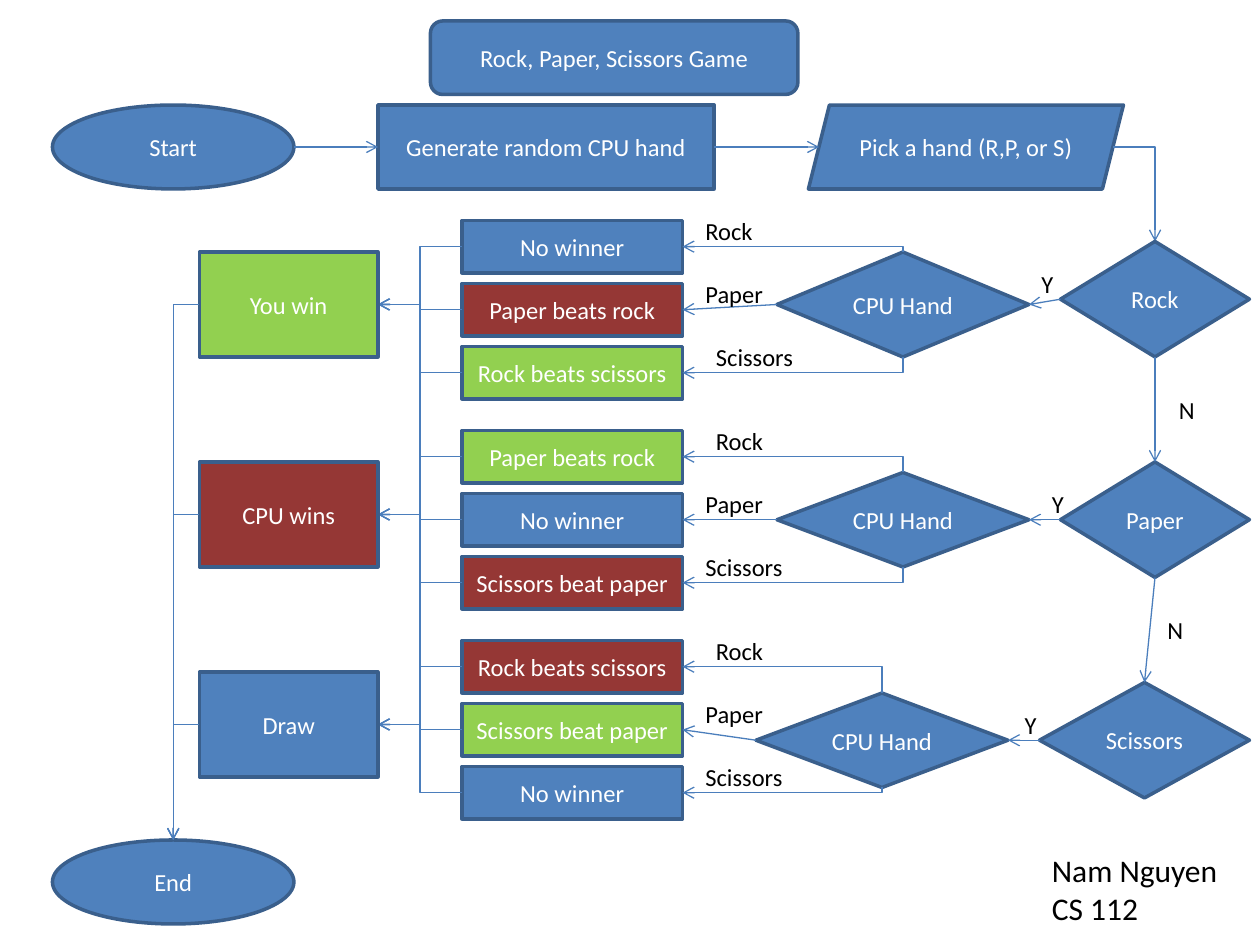
from lxml.etree import SubElement
from pptx import Presentation
from pptx.dml.color import RGBColor
from pptx.enum.shapes import MSO_CONNECTOR, MSO_SHAPE
from pptx.enum.text import MSO_ANCHOR, MSO_AUTO_SIZE, PP_ALIGN
from pptx.oxml.ns import qn
from pptx.util import Emu, Pt

EMU_PER_PX = 7620  # 120 px to the inch
COLORS = {
    "blue": "4F81BD", "green": "92D050", "red": "953735", "edge": "3A5F8C",
    "link": "4B7EBC", "white": "FFFFFF", "black": "000000",
}
TOP, LEFT, BOTTOM, RIGHT = range(4)

RESULTS = [("You win", "green", 240), ("CPU wins", "red", 440), ("Draw", "blue", 640)]
# hand, (left, top, width) of its diamond, (left, top, height) of the CPU diamond,
# Y label left and top, first outcome top, outcomes as (text, colour, label left)
ROUNDS = [
    ("Rock", (1010, 230, 180), (740, 240, 100), (980, 250), 210,
     [("No winner", "blue", 660), ("Paper beats rock", "red", 660),
      ("Rock beats scissors", "green", 670)]),
    ("Paper", (1010, 440, 180), (740, 450, 90), (990, 460), 410,
     [("Paper beats rock", "green", 670), ("No winner", "blue", 660),
      ("Scissors beat paper", "red", 660)]),
    ("Scissors", (990, 650, 200), (720, 660, 90), (964, 670), 610,
     [("Rock beats scissors", "red", 670), ("Scissors beat paper", "green", 660),
      ("No winner", "blue", 660)]),
]
LABEL_WIDTHS = {"Rock": 70, "Paper": 79, "Scissors": 98, "Y": 36, "N": 40}


def px(length):
    return Emu(round(length * EMU_PER_PX))


def color(name):
    return RGBColor.from_string(COLORS[name])


def write(frame, text, size=14, ink="black", align=PP_ALIGN.LEFT):
    for index, line in enumerate(text.split("\n")):
        para = frame.paragraphs[0] if index == 0 else frame.add_paragraph()
        para.alignment = align
        span = para.add_run()
        span.text = line
        span.font.size = Pt(size)
        span.font.name = "Calibri"
        span.font.color.rgb = color(ink)


def add_node(page, kind, text, left, top, width, height, fill="blue"):
    node = page.shapes.add_shape(kind, px(left), px(top), px(width), px(height))
    node.shadow.inherit = False
    node.fill.solid()
    node.fill.fore_color.rgb = color(fill)
    node.line.color.rgb = color("edge")
    node.line.width = Pt(2)
    node.text_frame.word_wrap = True
    node.text_frame.vertical_anchor = MSO_ANCHOR.MIDDLE
    write(node.text_frame, text, ink="white", align=PP_ALIGN.CENTER)
    return node


def add_label(page, text, left, top, width=None, height=41, size=14):
    box = page.shapes.add_textbox(
        px(left), px(top), px(width or LABEL_WIDTHS[text]), px(height))
    box.text_frame.word_wrap = False
    box.text_frame.auto_size = MSO_AUTO_SIZE.SHAPE_TO_FIT_TEXT
    write(box.text_frame, text, size=size)


def add_arrow(page, start, end, kind=MSO_CONNECTOR.STRAIGHT):
    arrow = page.shapes.add_connector(kind, *map(px, start + end))
    arrow.line.color.rgb = color("link")
    arrow.line.width = Pt(0.75)
    properties = arrow.element.spPr
    SubElement(properties.find(qn("a:ln")), qn("a:tailEnd"), type="arrow")
    SubElement(properties, qn("a:effectLst"))
    return arrow


def join(page, source, source_side, target, target_side):
    arrow = add_arrow(page, (0, 0), (0, 0))
    arrow.begin_connect(source, source_side)
    arrow.end_connect(target, target_side)


def add_corner(page, start, end):
    """Arrow with one turn that leaves sideways."""
    arrow = add_arrow(page, start, end, MSO_CONNECTOR.ELBOW)
    arrow.element.spPr.find(qn("a:prstGeom")).set("prst", "bentConnector2")
    return arrow


def add_upright_corner(page, start, end):
    """Arrow with one turn that leaves up or down, then runs left."""
    (x1, y1), (x2, y2) = start, end
    middle_x, middle_y = (x1 + x2) / 2, (y1 + y2) / 2
    along, across = abs(y2 - y1) / 2, (x1 - x2) / 2
    down = y2 > y1
    if not down:
        across = -across
    arrow = add_corner(page, (middle_x - along, middle_y - across),
                       (middle_x + along, middle_y + across))
    turn = 90 if down else 270
    arrow.element.spPr.find(qn("a:xfrm")).set("rot", str(turn * 60000))


def add_intro(page):
    add_node(page, MSO_SHAPE.ROUNDED_RECTANGLE, "Rock, Paper, Scissors Game", 410, 20, 350, 70)
    add_node(page, MSO_SHAPE.OVAL, "Start", 50, 100, 230, 80)
    generate = add_node(page, MSO_SHAPE.RECTANGLE, "Generate random CPU hand",
                        360, 100, 320, 80)
    add_node(page, MSO_SHAPE.PARALLELOGRAM, "Pick a hand (R,P, or S)", 770, 100, 300, 80)
    add_arrow(page, (280, 140), (360, 140)).end_connect(generate, LEFT)
    add_arrow(page, (680, 140), (780, 140)).begin_connect(generate, RIGHT)
    add_corner(page, (1060, 140), (1100, 230))


def add_results(page):
    add_node(page, MSO_SHAPE.OVAL, "End", 50, 800, 230, 80)
    for text, fill, top in RESULTS:
        add_node(page, MSO_SHAPE.RECTANGLE, text, 190, top, 170, 100, fill)
        add_corner(page, (190, top + 50), (165, 800))


def add_round(page, hand, hand_at, cpu_at, yes_at, first_top, outcomes):
    left, top, width = hand_at
    choice = add_node(page, MSO_SHAPE.DIAMOND, hand, left, top, width, 110)
    left, top, height = cpu_at
    cpu = add_node(page, MSO_SHAPE.DIAMOND, "CPU Hand", left, top, 240, height)
    join(page, choice, LEFT, cpu, RIGHT)
    add_label(page, "Y", *yes_at)

    result_middles = {fill: result_top + 50 for _, fill, result_top in RESULTS}
    for index, (text, fill, label_left) in enumerate(outcomes):
        outcome_top = first_top + 60 * index
        middle = outcome_top + 25
        outcome = add_node(page, MSO_SHAPE.RECTANGLE, text, 440, outcome_top, 210, 50, fill)
        if index == 1:
            join(page, cpu, LEFT, outcome, RIGHT)
        else:
            leave = top if index == 0 else top + height
            add_upright_corner(page, (left + 120, leave), (650, middle))
        add_label(page, ROUNDS[index][0], label_left, outcome_top - 10)
        add_arrow(page, (440, middle), (360, result_middles[fill]), MSO_CONNECTOR.ELBOW)
    return choice


def main():
    deck = Presentation()
    deck.slide_width, deck.slide_height = px(1200), px(900)
    page = deck.slides.add_slide(deck.slide_layouts[6])
    add_intro(page)
    choices = [add_round(page, *game) for game in ROUNDS]
    for upper, lower in zip(choices, choices[1:]):
        join(page, upper, BOTTOM, lower, TOP)
    add_label(page, "N", 1111, 370)
    add_label(page, "N", 1100, 580)
    add_results(page)
    add_label(page, "Nam Nguyen\nCS 112", 990, 805, width=184, height=85, size=18)
    deck.save("out.pptx")


if __name__ == "__main__":
    main()
